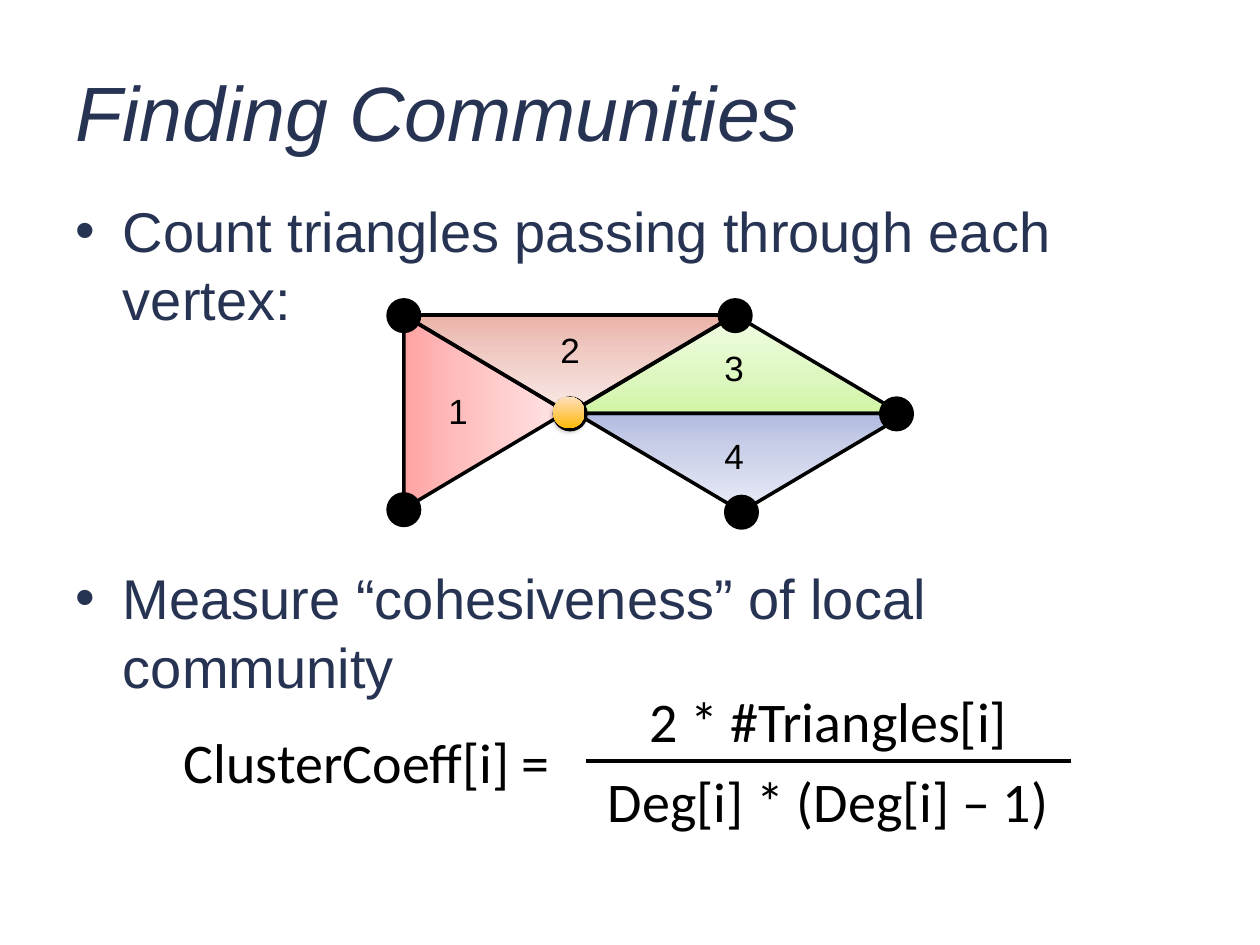
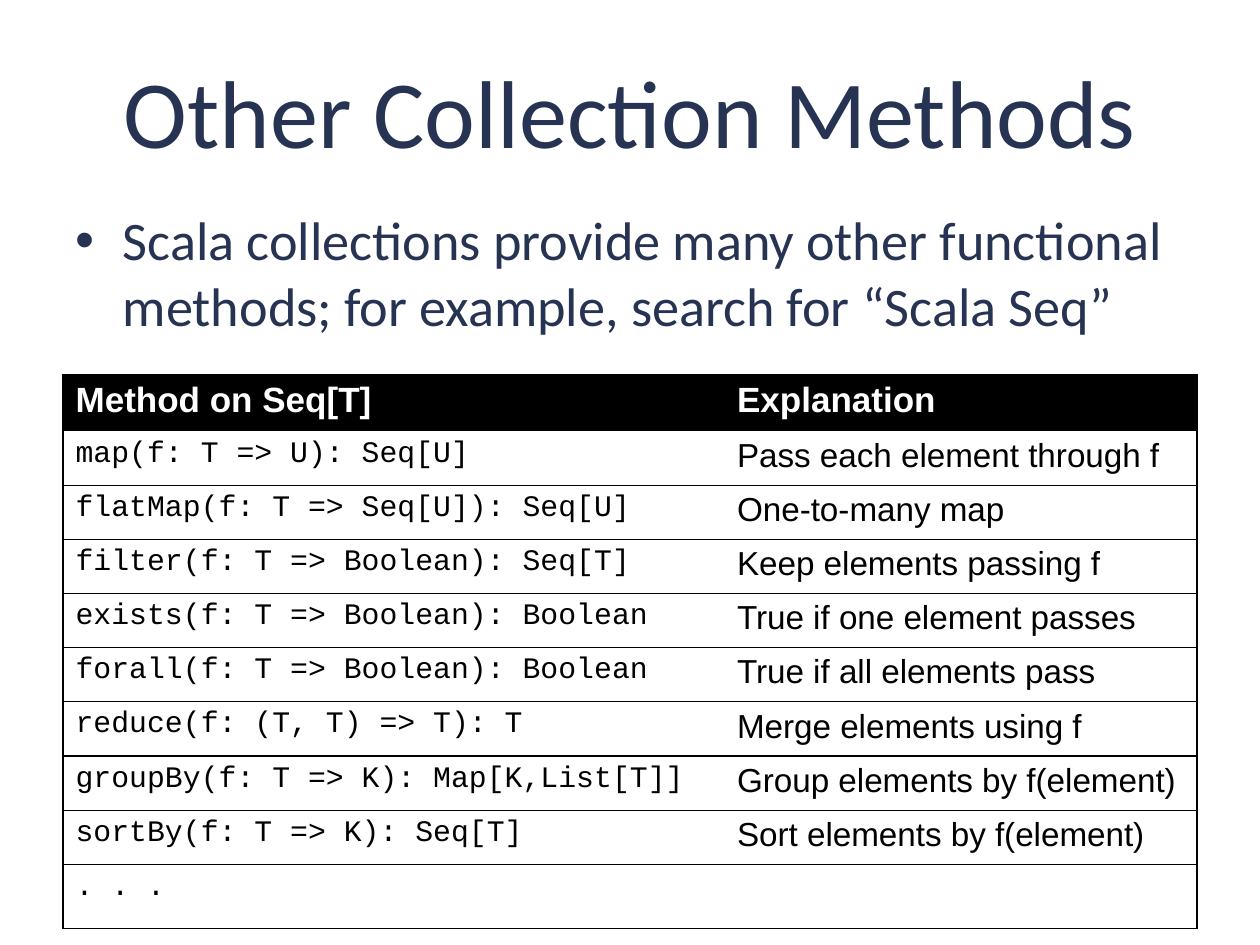
"""Build two lecture slides: triangle counting in graphs and Scala collection methods."""
from copy import deepcopy

from pptx import Presentation
from pptx.dml.color import RGBColor
from pptx.enum.shapes import MSO_CONNECTOR as Connector, MSO_SHAPE as Shape
from pptx.enum.text import MSO_ANCHOR as Anchor, MSO_AUTO_SIZE as AutoSize, PP_ALIGN as Align
from pptx.oxml import parse_xml
from pptx.oxml.ns import nsdecls, qn
from pptx.util import Inches, Pt

paint = RGBColor.from_string
NAVY, BLACK, WHITE = "273352", "000000", "FFFFFF"
NO_STYLE = "{2D5ABB26-0587-4C30-8999-92F81FD0307C}"

presentation = Presentation()
presentation.slide_width, presentation.slide_height = Inches(10), Inches(7.5)
CELL = presentation.slide_width / 40


def grid(*cells):
    """Turn counts of grid cells, 40 across and 30 down, into lengths."""
    return [round(count * CELL) for count in cells]


def write(paragraph, text, ink, font, **layout):
    """Put one formatted run into a paragraph."""
    run = paragraph.add_run()
    run.text = text
    run.font.color.rgb = paint(ink)
    for name, value in font.items():
        setattr(run.font, name, value)
    for name, value in layout.items():
        setattr(paragraph, name, value)


pages = [
    {
        "title": "Finding Communities",
        "title_font": {"name": "Arial", "size": Pt(44), "italic": True},
        "title_align": Align.LEFT,
        "body_at": (2, 6, 36, 18.4),
        "body_font": {"name": "Arial", "size": Pt(32)},
        "bullets": [
            ("Count triangles passing through each vertex:", 0),
            ("Measure “cohesiveness” of local community", 132),
        ],
        "line_spacing": Pt(39),
    },
    {
        "title": "Other Collection Methods",
        "title_font": {"name": "Calibri", "size": Pt(55)},
        "title_align": Align.CENTER,
        "body_at": (2, 6.36, 36, 5.5),
        "body_font": {"name": "Calibri", "size": Pt(31)},
        "bullets": [
            ("Scala collections provide many other functional methods; "
             "for example, search for “Scala Seq”", 0),
        ],
        "line_spacing": 1.0,
    },
]
slides = []
for page in pages:
    slide = presentation.slides.add_slide(presentation.slide_layouts[1])
    slides.append(slide)
    title, body = slide.placeholders
    for holder, place in ((title, (2, 1, 36, 5)), (body, page["body_at"])):
        holder.left, holder.top, holder.width, holder.height = grid(*place)
        holder.text_frame.word_wrap = True
        holder.text_frame.auto_size = AutoSize.NONE
    title.text_frame.vertical_anchor = Anchor.MIDDLE
    write(title.text_frame.paragraphs[0], page["title"], NAVY, page["title_font"],
          alignment=page["title_align"])
    for index, (text, gap) in enumerate(page["bullets"]):
        frame = body.text_frame
        paragraph = frame.add_paragraph() if index else frame.paragraphs[0]
        write(paragraph, text, NAVY, page["body_font"],
              space_before=Pt(gap), line_spacing=page["line_spacing"])

graph_slide, methods_slide = slides
shapes = graph_slide.shapes

triangles = [
    ((12.32, 10.5, 6.16, 5.16), 90, "C22829", ("FFA3A3", "FFBEBE", "FFE6E6")),
    ((12.8, 10, 10.52, 3.12), 180, "964101", ("EAB1A6", "EFC9C2", "FAEAE7")),
    ((18.08, 10, 10.52, 3.12), 0, "82A92F", ("D0F5A3", "DDF7BF", "F2FDE6")),
    ((18.28, 13.12, 10.52, 3.12), 180, "44578C", ("B2BBE0", "C9CFE8", "EAECF7")),
]
vertices = [(17.6, 12.64), (12.32, 9.52), (12.32, 15.68),
            (23.04, 15.76), (22.84, 9.52), (27.96, 12.64)]
CENTRE = (17.56, 12.6, 1, 1)

figures = [(Shape.ISOSCELES_TRIANGLE, place, turn, edge, 0.75, colours)
           for place, turn, edge, colours in triangles]
figures += [(Shape.ISOSCELES_TRIANGLE, place, turn, BLACK, 2, ())
            for place, turn, edge, colours in triangles]
figures += [(Shape.OVAL, (*corner, 1, 1), 0, BLACK, 2, (BLACK,)) for corner in vertices]
figures.append((Shape.OVAL, CENTRE, 0, None, 0, ("FFB809", "FFDFBC")))

for kind, place, turn, edge, weight, colours in figures:
    shape = shapes.add_shape(kind, *grid(*place))
    shape.rotation = turn
    shape.shadow.inherit = False
    if edge:
        shape.line.color.rgb = paint(edge)
        shape.line.width = Pt(weight)
    else:
        shape.line.fill.background()
    if not colours:
        shape.fill.background()
    elif len(colours) == 1:
        shape.fill.solid()
        shape.fill.fore_color.rgb = paint(colours[0])
    else:
        shape.fill.gradient()
        shape.fill.gradient_angle = 90
        stop_list = next(shape._element.iter(qn("a:gsLst")))
        if len(colours) == 3:
            stop_list.append(deepcopy(stop_list[-1]))
        positions = (0, 0.35, 1) if len(colours) == 3 else (0, 1)
        for stop, position, colour in zip(shape.fill.gradient_stops, positions, colours):
            stop.position = position
            stop.color.rgb = paint(colour)

next(shape._element.iter(qn("a:effectLst"))).append(parse_xml(
    f'<a:outerShdw {nsdecls("a")} blurRad="{Pt(3.1)}" dist="{Pt(1.8)}" dir="5400000" '
    f'rotWithShape="0"><a:srgbClr val="{BLACK}"><a:alpha val="35000"/></a:srgbClr>'
    '</a:outerShdw>'))

number_font = {"name": "Arial", "size": Pt(20)}
formula_font = {"name": "Calibri", "size": Pt(32)}
number_layout = {"alignment": Align.LEFT}
captions = [
    ((13.84, 12.16, 1.44, 1.76), ["1"], number_font, number_layout),
    ((17.4, 10.24, 1.44, 1.76), ["2"], number_font, number_layout),
    ((22.6, 10.8, 1.44, 1.76), ["3"], number_font, number_layout),
    ((22.6, 13.6, 1.44, 1.76), ["4"], number_font, number_layout),
    ((5.44, 22.48, 12.88, 2.92), ["ClusterCoeff[i] ="], formula_font,
     {"alignment": Align.LEFT, "line_spacing": 1.2}),
    ((18.6, 21.16, 15.4, 5.52), ["2 * #Triangles[i]", "Deg[i] * (Deg[i] – 1)"], formula_font,
     {"alignment": Align.CENTER, "line_spacing": 1.2}),
]
for place, lines, font, layout in captions:
    frame = shapes.add_textbox(*grid(*place)).text_frame
    frame.word_wrap = False
    for index, text in enumerate(lines):
        paragraph = frame.add_paragraph() if index else frame.paragraphs[0]
        write(paragraph, text, BLACK, font, **layout)

fraction_bar = shapes.add_connector(Connector.STRAIGHT, *grid(18.6, 24.16, 34, 24.16))
fraction_bar.line.color.rgb = paint(BLACK)
fraction_bar.line.width = Pt(2)
fraction_bar._element.spPr.append(parse_xml(f'<a:effectLst {nsdecls("a")}/>'))

methods = [
    ("Method on Seq[T]", "Explanation"),
    ("map(f: T => U): Seq[U]", "Pass each element through f"),
    ("flatMap(f: T => Seq[U]): Seq[U]", "One-to-many map"),
    ("filter(f: T => Boolean): Seq[T]", "Keep elements passing f"),
    ("exists(f: T => Boolean): Boolean", "True if one element passes"),
    ("forall(f: T => Boolean): Boolean", "True if all elements pass"),
    ("reduce(f: (T, T) => T): T", "Merge elements using f"),
    ("groupBy(f: T => K): Map[K,List[T]]", "Group elements by f(element)"),
    ("sortBy(f: T => K): Seq[T]", "Sort elements by f(element)"),
    (". . .", ""),
]
header_font = {"name": "Arial", "size": Pt(20), "bold": True}
column_fonts = [{"name": "Courier New", "size": Pt(17)}, {"name": "Arial", "size": Pt(19)}]
column_edges = [("lnL", "lnT", "lnB"), ("lnR", "lnT", "lnB")]
row_heights = grid(1.8, *[1.72] * 8, 2.04)

table_frame = methods_slide.shapes.add_table(len(methods), 2, *grid(2, 11.88, 36, 17.6))
table = table_frame.table
table.horz_banding = False
next(table_frame._element.iter(qn("a:tableStyleId"))).text = NO_STYLE
for column, width in zip(table.columns, grid(21, 15)):
    column.width = width
for row_index, (row, height, texts) in enumerate(zip(table.rows, row_heights, methods)):
    row.height = height
    header = row_index == 0
    for cell, text, font, edges in zip(row.cells, texts, column_fonts, column_edges):
        cell.fill.solid()
        cell.fill.fore_color.rgb = paint(BLACK if header else WHITE)
        if text:
            write(cell.text_frame.paragraphs[0], text, WHITE if header else BLACK,
                  header_font if header else font)
        for position, edge in enumerate(edges):
            cell._tc.get_or_add_tcPr().insert(position, parse_xml(
                f'<a:{edge} {nsdecls("a")} w="{Pt(0.75)}"><a:solidFill>'
                f'<a:srgbClr val="{BLACK}"/></a:solidFill></a:{edge}>'))

presentation.save("out.pptx")
